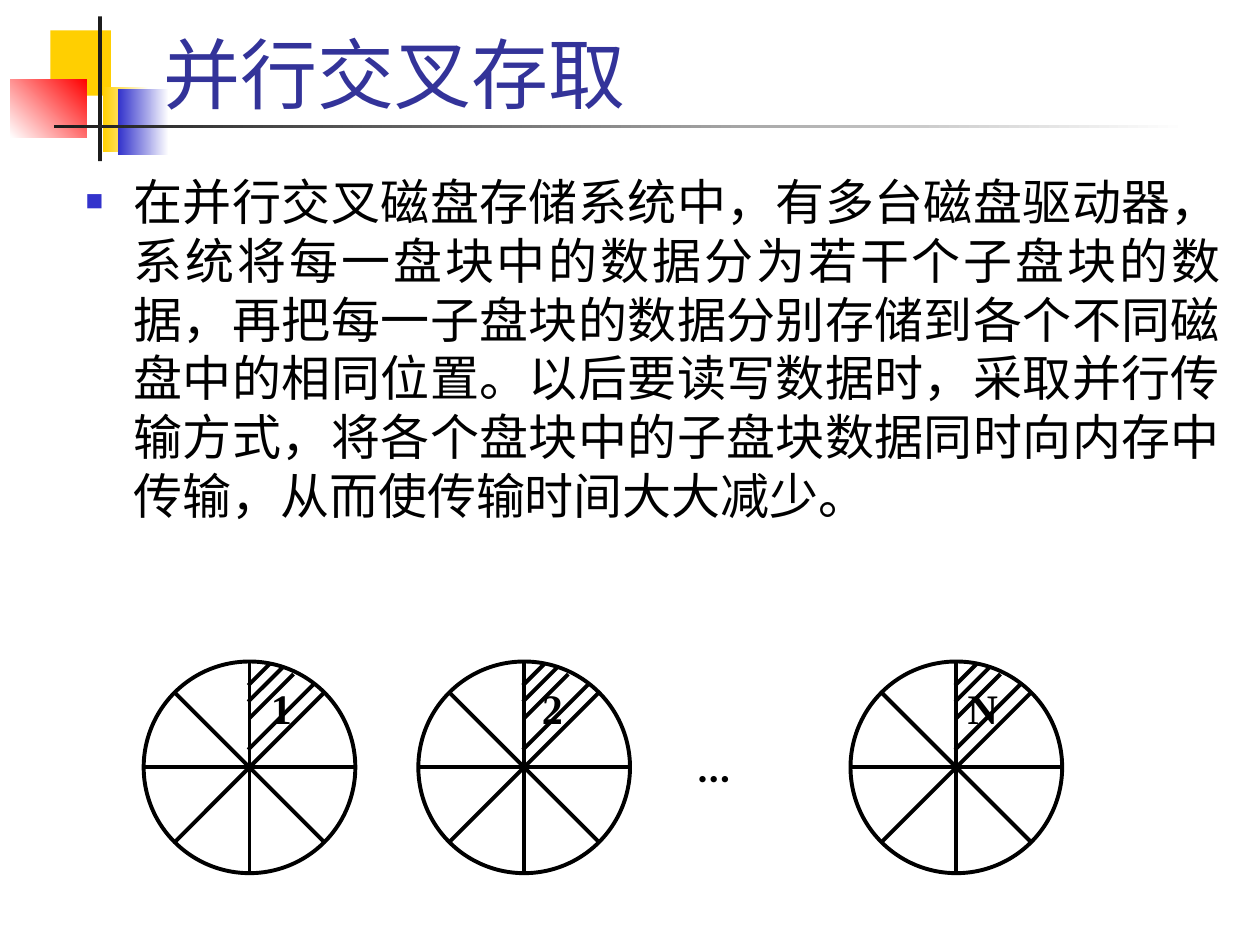
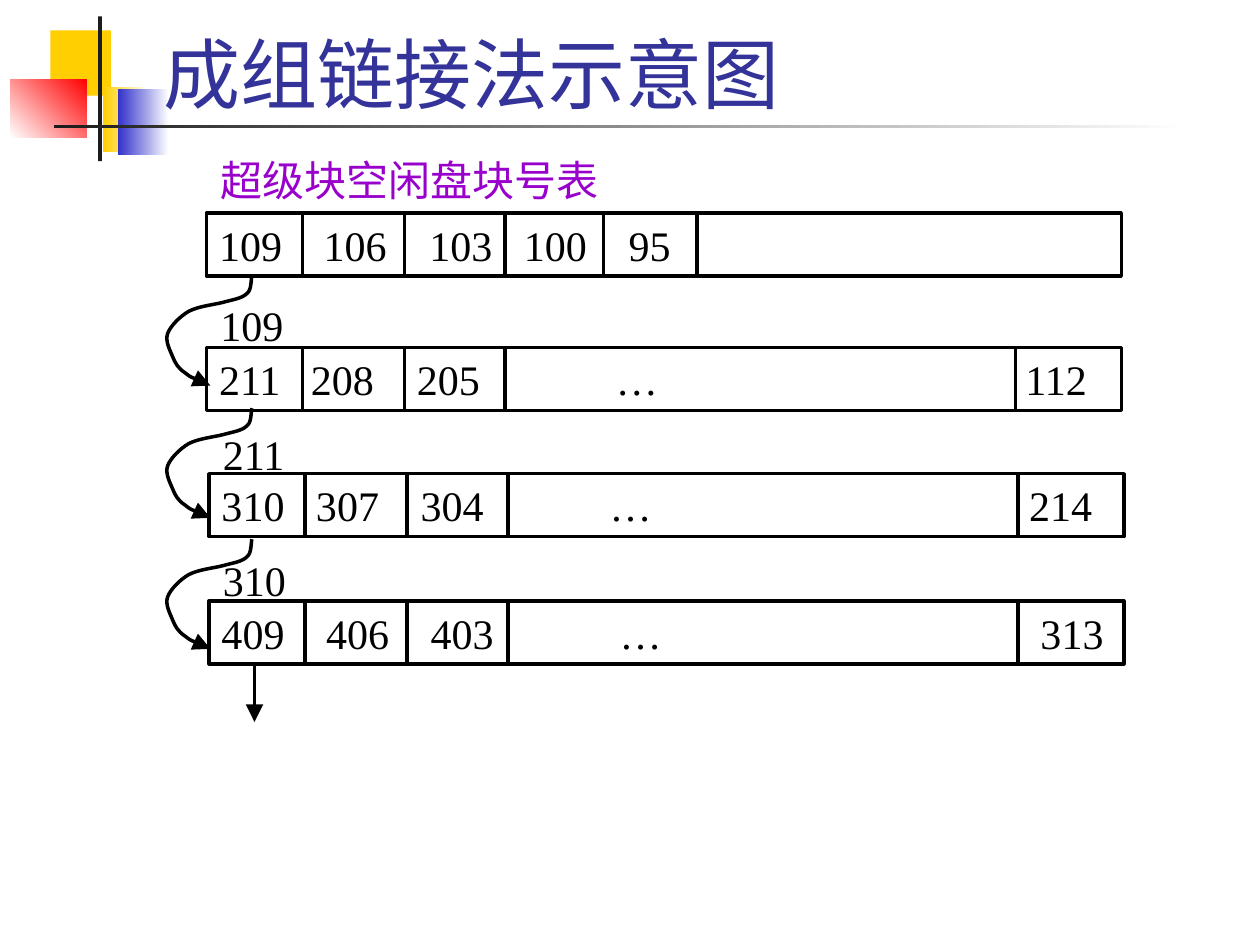
import math
from dataclasses import dataclass

from lxml import etree
from pptx import Presentation
from pptx.dml.color import RGBColor
from pptx.enum.shapes import MSO_CONNECTOR, MSO_SHAPE
from pptx.enum.text import MSO_ANCHOR, MSO_AUTO_SIZE, PP_ALIGN
from pptx.oxml.ns import qn
from pptx.util import Inches, Pt

STRAIGHT = MSO_CONNECTOR.STRAIGHT
RECTANGLE, OVAL = MSO_SHAPE.RECTANGLE, MSO_SHAPE.OVAL
LEFT, CENTER, JUSTIFY = PP_ALIGN.LEFT, PP_ALIGN.CENTER, PP_ALIGN.JUSTIFY
TOP, MIDDLE, BOTTOM = MSO_ANCHOR.TOP, MSO_ANCHOR.MIDDLE, MSO_ANCHOR.BOTTOM


@dataclass(frozen=True)
class Theme:
    black: str = "000000"
    white: str = "FFFFFF"
    dark: str = "1C1C1C"
    yellow: str = "FFCF01"
    blue: str = "3333CC"
    red: str = "FF0000"
    title: str = "333399"
    caption: str = "9900CC"
    sans: str = "Lato"
    serif: str = "Times New Roman"
    title_size: int = 44
    body_size: int = 28
    label_size: int = 24
    disk_line: float = 2.25
    row_line: float = 2


THEME = Theme()

# Shared frame: place, colours (two make a gradient), clockwise angle
TITLE_AT = (1.2, 0.17, 8.52, 0.82)
BODY_AT = (0.58, 1.31, 9.21, 3.31)
DECORATIONS = [
    ((0.4, 0.24, 0.48, 0.52), (THEME.yellow,), 0),
    ((0.82, 0.69, 0.36, 0.52), (THEME.white, THEME.yellow), 180),
    ((0.94, 0.71, 0.4, 0.52), (THEME.white, THEME.blue), 180),
    ((0.08, 0.63, 0.61, 0.46), (THEME.red, THEME.white), 135),
    ((0.78, 0.13, 0.03, 1.15), (THEME.dark,), 0),
    ((0.43, 0.99, 9, 0.03), (THEME.white, THEME.dark), 180),
]

# Slide 1: parallel interleaved access
ACCESS_TITLE = "并行交叉存取"
ACCESS_BODY = (
    "在并行交叉磁盘存储系统中，有多台磁盘驱动器，系统将每一盘块中的数据分为若干个子盘块的数据，"
    "再把每一子盘块的数据分别存储到各个不同磁盘中的相同位置。以后要读写数据时，采取并行传输方式，"
    "将各个盘块中的子盘块数据同时向内存中传输，从而使传输时间大大减少。"
)
DISK_TOP, DISK_SIZE = 5.25, 1.68
DISKS = [("1", 1.14, 2.15), ("2", 3.32, 4.3), ("N", 6.75, 7.68)]  # label, disk left, label left
HATCHES = [  # offsets from the disk's top left corner
    ((1.35, 0.18), (0.83, 0.7)),
    ((1.19, 0.1), (0.84, 0.45)),
    ((1.1, 0.05), (0.83, 0.32)),
    ((1, 0.02), (0.83, 0.19)),
]

# Slide 2: grouped linking
LINKING_TITLE = "成组链接法示意图"
TABLE_CAPTION = "超级块空闲盘块号表"
ROW_WIDTH, ROW_HEIGHT = 7.26, 0.5
SUPER_DIVIDERS = (0.76, 1.57, 2.37, 3.15, 3.89)
GROUP_DIVIDERS = (0.76, 1.57, 2.37, 6.42)
ROWS = [
    dict(at=(1.64, 1.69), cells=("109", "106", "103", "100", "95"),
         tabs=(0.83, 1.67, 2.42, 3.25), dividers=SUPER_DIVIDERS),
    dict(at=(1.64, 2.76), cells=("211", "208", "205", "…", "112"),
         tabs=(0.73, 1.57, 3.15, 6.4), dividers=GROUP_DIVIDERS),
    dict(at=(1.66, 3.76), cells=("310", "307", "304", "…", "214"),
         tabs=(0.75, 1.58, 3.08, 6.41), dividers=GROUP_DIVIDERS),
    dict(at=(1.66, 4.77), cells=("409", "406", "403", "…", "313"),
         tabs=(0.83, 1.66, 3.16, 6.5), dividers=GROUP_DIVIDERS),
]
BLOCK_LABELS = [("109", 1.75, 2.38), ("211", 1.77, 3.4), ("310", 1.77, 4.4)]
LINK_LEFT, LINK_TOPS = 2, (2.19, 3.24, 4.28)
LINK_CURVE = [  # cubic pieces: two controls and an end, from the link's start
    ((-0.01, 0.02), (0, 0.11), (-0.04, 0.14)),
    ((-0.08, 0.18), (-0.16, 0.19), (-0.23, 0.21)),
    ((-0.31, 0.23), (-0.42, 0.24), (-0.5, 0.28)),
    ((-0.57, 0.32), (-0.65, 0.4), (-0.67, 0.46)),
    ((-0.69, 0.52), (-0.65, 0.59), (-0.63, 0.64)),
    ((-0.61, 0.69), (-0.59, 0.73), (-0.53, 0.77)),
    ((-0.48, 0.81), (-0.37, 0.85), (-0.33, 0.87)),
]
NEXT_GROUP_ARROW = ((2.02, 5.26), (2.02, 5.73))


# Text helpers
def inches(values):
    return [Inches(value) for value in values]


def add_span(para, text, size, font=THEME.sans, color=THEME.black, bold=False):
    span = para.add_run()
    span.text = text
    span.font.size, span.font.name, span.font.bold = Pt(size), font, bold
    span.font.color.rgb = RGBColor.from_string(color)


def add_label(shapes, at, text, font=THEME.serif, color=THEME.black, bold=False):
    box = shapes.add_textbox(*inches(at))
    frame = box.text_frame
    frame.word_wrap = True
    frame.margin_left = frame.margin_right = frame.margin_top = frame.margin_bottom = 0
    para = frame.paragraphs[0]
    para.alignment = JUSTIFY
    add_span(para, text, THEME.label_size, font, color, bold)
    return box


def add_bullet(para):
    props = para._p.get_or_add_pPr()
    props.set("marL", str(Inches(0.38)))
    props.set("indent", str(-Inches(0.38)))
    props.set("hangingPunct", "0")
    color = etree.SubElement(props, qn("a:buClr"))
    etree.SubElement(color, qn("a:srgbClr"), val=THEME.blue)
    etree.SubElement(props, qn("a:buSzPct"), val="60000")
    etree.SubElement(props, qn("a:buChar"), char="■")


def add_tabs(para, stops):
    tabs = etree.SubElement(para._p.get_or_add_pPr(), qn("a:tabLst"))
    for stop in stops:
        etree.SubElement(tabs, qn("a:tab"), pos=str(Inches(stop)), algn="l")


# Shape helpers
def set_line(shape, width, arrow=False):
    shape.line.color.rgb = RGBColor.from_string(THEME.black)
    shape.line.width = Pt(width)
    if arrow:
        etree.SubElement(shape.line._get_or_add_ln(), qn("a:tailEnd"),
                         type="triangle", w="lg", len="lg")


def add_line(shapes, start, end, width, arrow=False):
    line = shapes.add_connector(STRAIGHT, *inches(start + end))
    set_line(line, width, arrow)
    etree.SubElement(line._element.spPr, qn("a:effectLst"))


def add_outlined(shapes, kind, at, width):
    shape = shapes.add_shape(kind, *inches(at))
    shape.shadow.inherit = False
    shape.fill.solid()
    shape.fill.fore_color.rgb = RGBColor.from_string(THEME.white)
    set_line(shape, width)
    return shape


# Master: placeholder places and the decorations behind every slide
def place_master(master):
    for holder, at, anchor in zip(master.placeholders, (TITLE_AT, BODY_AT), (BOTTOM, TOP)):
        holder.left, holder.top, holder.width, holder.height = inches(at)
        holder.text_frame.vertical_anchor = anchor
        holder.text_frame.auto_size = MSO_AUTO_SIZE.NONE


def decorate_master(master, page):
    for index, (at, colors, angle) in enumerate(DECORATIONS):
        shape = page.shapes.add_shape(RECTANGLE, *inches(at))
        shape.shadow.inherit = False
        shape.line.fill.background()
        if len(colors) == 1:
            shape.fill.solid()
            shape.fill.fore_color.rgb = RGBColor.from_string(colors[0])
        else:
            shape.fill.gradient()
            shape.fill.gradient_angle = 360 - angle
            for position, (stop, color) in enumerate(zip(shape.fill.gradient_stops, colors)):
                stop.position = position
                stop.color.rgb = RGBColor.from_string(color)
        master.shapes.element.insert(2 + index, shape.element)


def add_page(deck, layout, title):
    page = deck.slides.add_slide(deck.slide_layouts[layout])
    para = page.shapes.title.text_frame.paragraphs[0]
    para.alignment = LEFT
    add_span(para, title, THEME.title_size, color=THEME.title)
    return page


# Slide 1
def add_disk(page, label, left, label_left):
    shapes = page.shapes.add_group_shape().shapes
    add_outlined(shapes, OVAL, (left, DISK_TOP, DISK_SIZE, DISK_SIZE), THEME.disk_line)
    radius = DISK_SIZE / 2
    center_x, center_y = left + radius, DISK_TOP + radius
    for angle in range(0, 180, 45):
        across = radius * math.cos(math.radians(angle))
        down = radius * math.sin(math.radians(angle))
        add_line(shapes, (center_x - across, center_y - down),
                 (center_x + across, center_y + down), THEME.disk_line)
    add_label(shapes, (label_left, 5.42, 0.17, 0.17), label, bold=True)
    for hatch in HATCHES:
        start, end = [(left + x, DISK_TOP + y) for x, y in hatch]
        add_line(shapes, start, end, THEME.disk_line)


def build_access(page):
    para = page.placeholders[1].text_frame.paragraphs[0]
    add_bullet(para)
    para.alignment = JUSTIFY
    para.space_before = Pt(0)
    add_span(para, ACCESS_BODY, THEME.body_size)
    for disk in DISKS:
        add_disk(page, *disk)
    dots = add_label(page.shapes, (5.33, 5.83, 0.67, 0.5), "…", THEME.sans, bold=True)
    dots.text_frame.vertical_anchor = MIDDLE
    dots.text_frame.paragraphs[0].alignment = CENTER


# Slide 2
def add_row(page, at, cells, tabs, dividers):
    left, top = at
    row = add_outlined(page.shapes, RECTANGLE, (left, top, ROW_WIDTH, ROW_HEIGHT), THEME.row_line)
    row.text_frame.vertical_anchor = TOP
    para = row.text_frame.paragraphs[0]
    add_tabs(para, tabs)
    para.alignment = JUSTIFY
    add_span(para, "\t".join(cells), THEME.label_size, THEME.serif)
    for offset in dividers:
        add_line(page.shapes, (left + offset, top), (left + offset, top + ROW_HEIGHT), THEME.row_line)


def smooth_outline(shape):
    """Turn each three straight segments into one cubic curve."""
    segments = list(shape.element.iter(qn("a:lnTo")))
    for first in range(0, len(segments), 3):
        curve = etree.Element(qn("a:cubicBezTo"))
        segments[first].addprevious(curve)
        for segment in segments[first:first + 3]:
            curve.append(segment[0])
            segment.getparent().remove(segment)


def add_link(page, top):
    builder = page.shapes.build_freeform(Inches(LINK_LEFT), Inches(top))
    points = [inches((LINK_LEFT + x, top + y)) for piece in LINK_CURVE for x, y in piece]
    builder.add_line_segments(points, close=False)
    link = builder.convert_to_shape()
    smooth_outline(link)
    link.shadow.inherit = False
    link.fill.background()
    set_line(link, THEME.row_line, arrow=True)


def build_linking(page):
    add_label(page.shapes, (1.75, 1.23, 3.03, 0.45), TABLE_CAPTION, color=THEME.caption)
    for row in ROWS:
        add_row(page, **row)
    for text, left, top in BLOCK_LABELS:
        add_label(page.shapes, (left, top, 0.53, 0.26), text)
    for top in LINK_TOPS:
        add_link(page, top)
    add_line(page.shapes, *NEXT_GROUP_ARROW, THEME.row_line, arrow=True)


def main():
    deck = Presentation()
    deck.slide_width, deck.slide_height = Inches(10), Inches(7.5)
    place_master(deck.slide_master)
    access = add_page(deck, 1, ACCESS_TITLE)
    decorate_master(deck.slide_master, access)
    build_access(access)
    build_linking(add_page(deck, 5, LINKING_TITLE))
    deck.save("out.pptx")


if __name__ == "__main__":
    main()
